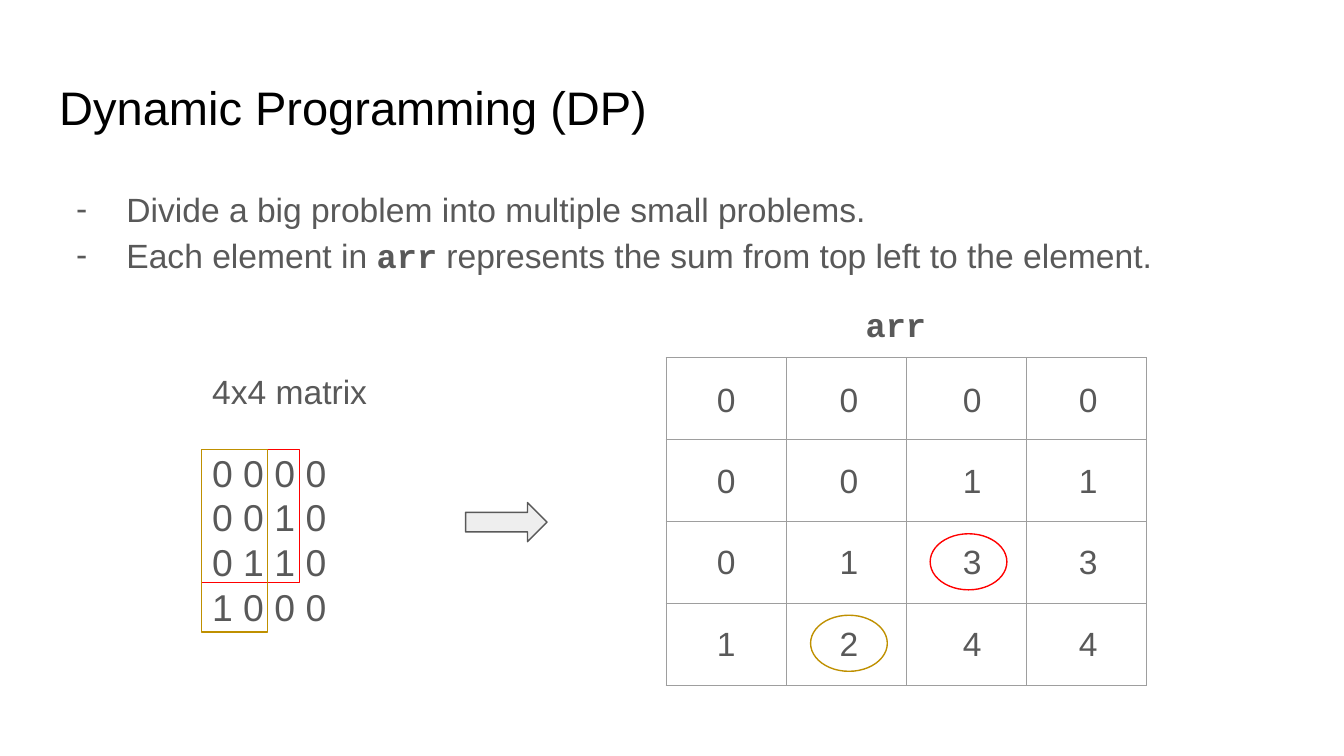
"""Build a slide that shows dynamic programming as a table of sums."""
from lxml import etree
from pptx import Presentation
from pptx.dml.color import RGBColor
from pptx.enum.shapes import MSO_SHAPE
from pptx.enum.text import MSO_ANCHOR, PP_ALIGN
from pptx.oxml.ns import qn
from pptx.util import Cm, Pt

ARROW, OVAL, RECT = MSO_SHAPE.RIGHT_ARROW, MSO_SHAPE.OVAL, MSO_SHAPE.RECTANGLE
TOP, MIDDLE = MSO_ANCHOR.TOP, MSO_ANCHOR.MIDDLE
LEFT, CENTER = PP_ALIGN.LEFT, PP_ALIGN.CENTER
BLACK = RGBColor(0x00, 0x00, 0x00)
GRAY = RGBColor(0x59, 0x59, 0x59)
RULE = RGBColor(0x9E, 0x9E, 0x9E)
PALE = RGBColor(0xEE, 0xEE, 0xEE)
RED = RGBColor(0xFF, 0x00, 0x00)
GOLD = RGBColor(0xBF, 0x90, 0x00)
MONO = "Courier New"
SUMS = ["0000", "0011", "0133", "1244"]
MATRIX = ["0 0 0 0", "0 0 1 0", "0 1 1 0", "1 0 0 0"]


def put(para, text, size=18, font="Arial", color=GRAY, bold=False):
    run = para.add_run()
    run.text = text
    run.font.size = Pt(size)
    run.font.name = font
    run.font.bold = bold
    run.font.color.rgb = color


def node(parent, tag, **attrs):
    return etree.SubElement(parent, qn(tag), attrs)


def paint(parent, color):
    node(node(parent, "a:solidFill"), "a:srgbClr", val=str(color))


class Deck:
    def __init__(self):
        self.show = Presentation()
        self.show.slide_width = Cm(25.4)
        self.show.slide_height = Cm(14.29)
        self.slide = self.show.slides.add_slide(self.show.slide_layouts[6])
        self.inset = Cm(0.25)
        self.line = Pt(0.75)

    def box(self, x, y, w, h, anchor=TOP):
        shape = self.slide.shapes.add_textbox(Cm(x), Cm(y), Cm(w), Cm(h))
        frame = shape.text_frame
        frame.word_wrap = True
        frame.vertical_anchor = anchor
        frame.margin_left = frame.margin_right = self.inset
        frame.margin_top = frame.margin_bottom = self.inset
        return frame

    def label(self, text, x, y, w, h, align=LEFT, anchor=TOP, **style):
        para = self.box(x, y, w, h, anchor).paragraphs[0]
        para.alignment = align
        put(para, text, **style)

    def bullet(self, para):
        para.line_spacing = 1.15
        props = para._p.get_or_add_pPr()
        props.set("marL", str(Cm(1.27)))
        props.set("indent", str(-Cm(0.95)))
        node(node(props, "a:buClr"), "a:srgbClr", val=str(GRAY))
        node(props, "a:buFont", typeface="Arial")
        node(props, "a:buChar", char="-")

    def shape(self, kind, x, y, w, h, color, fill=None):
        shape = self.slide.shapes.add_shape(kind, Cm(x), Cm(y), Cm(w), Cm(h))
        shape.shadow.inherit = False
        shape.line.color.rgb = color
        shape.line.width = self.line
        if fill is None:
            shape.fill.background()
        else:
            shape.fill.solid()
            shape.fill.fore_color.rgb = fill

    def grid(self, x, y, rows, cols, wide, high):
        frame = self.slide.shapes.add_table(
            rows, cols, Cm(x), Cm(y), Cm(wide * cols), Cm(high * rows))
        table = frame.table
        table.first_row = table.horz_banding = False
        for cell in table.iter_cells():
            props = cell._tc.get_or_add_tcPr()
            for side in "LRTB":
                paint(node(props, f"a:ln{side}", w=str(self.line)), RULE)
            cell.fill.background()


def main():
    deck = Deck()
    deck.label("Dynamic Programming (DP)", 0.87, 1.24, 23.67, 1.6,
               size=25.2, color=BLACK)

    body = deck.box(0.87, 3.2, 23.67, 9.5)
    first = body.paragraphs[0]
    put(first, "Divide a big problem into multiple small problems.")
    second = body.add_paragraph()
    put(second, "Each element in ")
    put(second, "arr", font=MONO, bold=True)
    put(second, " represents the sum from top left to the element.")
    for para in (first, second):
        deck.bullet(para)

    matrix = deck.box(3.76, 6.76, 4.8, 4.9)
    head = matrix.paragraphs[0]
    head.space_after = Pt(20.7)
    put(head, "4x4 matrix")
    for row in MATRIX:
        put(matrix.add_paragraph(), row, size=20)

    deck.grid(12.59, 6.76, 4, 4, 2.27, 1.55)
    deck.shape(ARROW, 8.8, 9.5, 1.54, 0.74, GRAY, PALE)
    deck.label("arr", 16.11, 5.49, 2.03, 1.27, font=MONO, bold=True)
    for i, row in enumerate(SUMS):
        for x, digit in zip((13, 15.32, 17.65, 19.84), row):
            deck.label(digit, x, 6.9 + 1.54 * i, 1.45, 1.27, CENTER, MIDDLE)

    deck.shape(OVAL, 17.58, 10.09, 1.45, 1.06, RED)
    deck.shape(RECT, 3.81, 8.5, 1.85, 2.51, RED)
    deck.shape(OVAL, 15.32, 11.63, 1.45, 1.06, GOLD)
    deck.shape(RECT, 3.81, 8.5, 1.25, 3.45, GOLD)
    deck.show.save("out.pptx")


if __name__ == "__main__":
    main()
